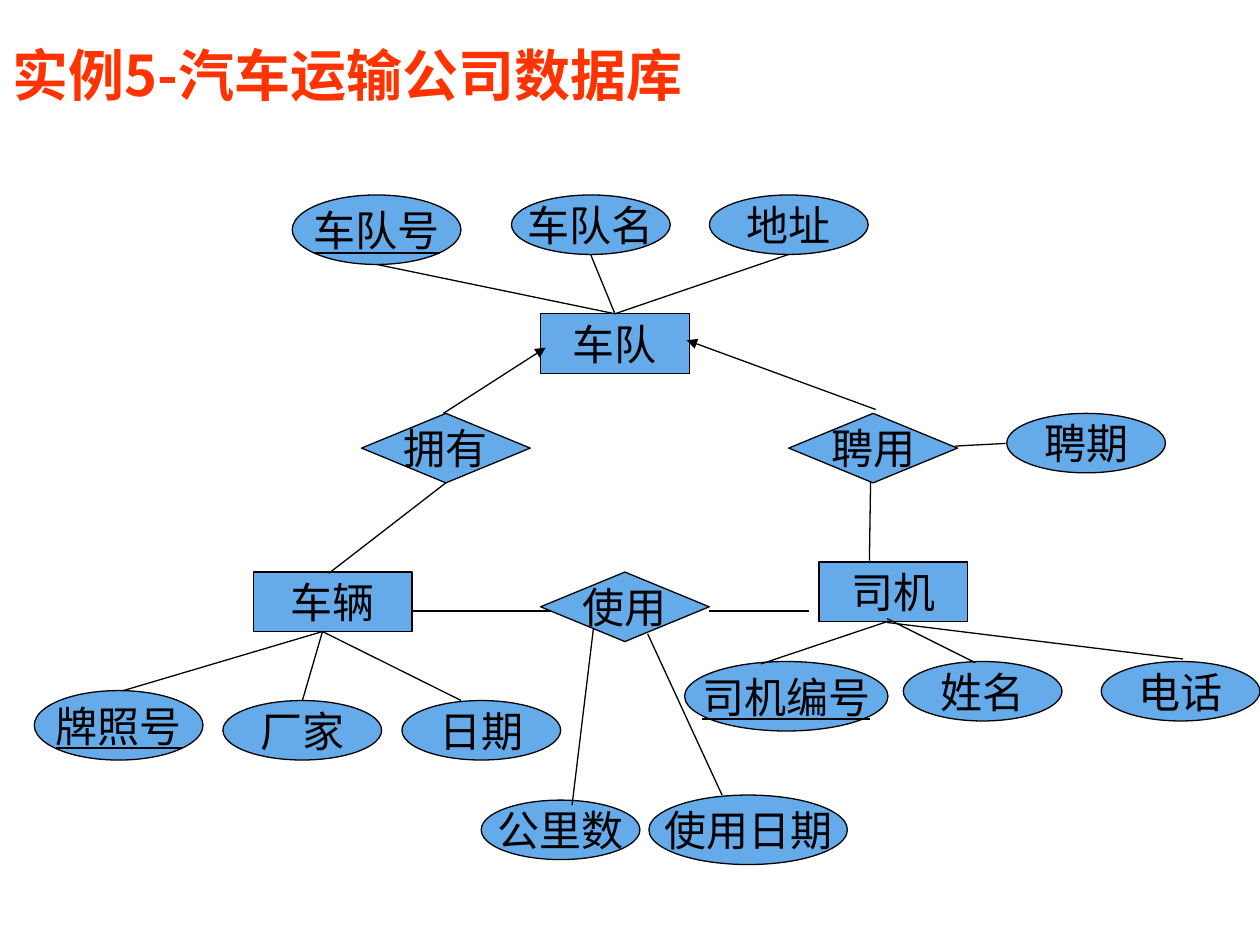
from dataclasses import dataclass

from lxml.etree import SubElement
from pptx import Presentation
from pptx.dml.color import RGBColor
from pptx.enum.shapes import MSO_CONNECTOR, MSO_SHAPE
from pptx.enum.text import MSO_ANCHOR, MSO_AUTO_SIZE, PP_ALIGN
from pptx.oxml.ns import qn
from pptx.util import Pt


@dataclass(frozen=True)
class Theme:
    title_color: RGBColor = RGBColor(0xFF, 0x33, 0x00)
    fill: RGBColor = RGBColor(0x65, 0xAA, 0xE9)
    ink: RGBColor = RGBColor(0, 0, 0)
    title_font: str = "Noto Sans CJK SC"
    label_font: str = "Times New Roman"
    title_size: float = 32
    label_size: float = 24
    line_width: float = 0.75


NORMAL = (90.7, 34)
NARROW = (85, 34)
LARGE = (96.4, 39.7)
TOP, BOTTOM = 0, 2

ENTITIES = {
    "车队": (308.9, 179.3, *NARROW),
    "车辆": (144.7, 326.9, *NORMAL),
    "司机": (468, 321.1, *NARROW),
}
RELATIONSHIPS = {
    "使用": (308.9, 326.9, *LARGE),
    "拥有": (206.6, 236.2, *LARGE),
    "聘用": (450.7, 236.2, *LARGE),
}
ATTRIBUTES = {
    "车队名": (292.3, 111.4, *NORMAL),
    "地址": (405.4, 111.4, *NORMAL),
    "厂家": (127.4, 400.3, *NORMAL),
    "日期": (229.7, 400.3, *NORMAL),
    "公里数": (275, 457.2, *NORMAL),
    "使用日期": (370.8, 454.3, 113.4, 39.7),
    "姓名": (516.2, 378, *NORMAL),
    "电话": (629.3, 378, *NORMAL),
    "聘期": (575.3, 236.2, *NORMAL),
}
KEY_ATTRIBUTES = {
    "车队号": (167, 111.4, *LARGE),
    "牌照号": (19.6, 394.6, *LARGE),
    "司机编号": (391.2, 378, 116.2, 39.7),
}

FLEET_TOP = (351.4, 179.3)
FLEET_ATTRIBUTE_ENDS = [(215.2, 151.1), (337.5, 145.4), (450.7, 145.4)]
VEHICLE_BOTTOM = (184.3, 360.9)
VEHICLE_ATTRIBUTE_ENDS = [(70.6, 394.6), (172.8, 400.3), (263.5, 400.3)]
PLAIN_LINES = [
    ((235.4, 349.2), (314.6, 349.2)),  # 车辆 to 使用
    ((405.4, 349.2), (462.2, 349.2)),  # 使用 to 司机
    ((507.6, 355), (434.9, 379.4)),  # 司机 to its attributes
    ((506.9, 353.5), (557.3, 378.7)),
    ((506.9, 355.7), (676.1, 376.6)),
    ((339.1, 359.3), (326.9, 460.1)),  # 使用 to its attributes
    ((370.1, 362.2), (412.6, 454.3)),
    ((497.5, 275), (496.8, 320.4)),  # 聘用 to 司机
    ((545.8, 254.9), (574.6, 253.4)),  # 聘用 to 聘期
]
ARROWS = [
    ((253.4, 236.2), (311.8, 198.7)),  # 拥有 to 车队
    ((500.4, 234), (392.4, 194.4)),  # 聘用 to 车队
]


class DiagramBuilder:
    def __init__(self, slide, theme):
        self.slide = slide
        self.theme = theme

    def format_font(self, paragraph, name, size, color, bold=False, underline=False):
        font = paragraph.font
        font.name, font.size = name, Pt(size)
        font.bold, font.underline = bold, underline
        font.color.rgb = color
        SubElement(font._element, qn("a:ea"), typeface=self.theme.title_font)

    def title(self, text, left, top, width, height):
        shape = self.slide.shapes.title
        shape.left, shape.top = Pt(left), Pt(top)
        shape.width, shape.height = Pt(width), Pt(height)
        frame = shape.text_frame
        frame.text = text
        frame.auto_size = MSO_AUTO_SIZE.NONE
        frame.vertical_anchor = MSO_ANCHOR.MIDDLE
        paragraph = frame.paragraphs[0]
        paragraph.alignment = PP_ALIGN.LEFT
        theme = self.theme
        self.format_font(paragraph, theme.title_font, theme.title_size,
                         theme.title_color, bold=True)

    def node(self, kind, text, box, underline=False):
        theme = self.theme
        shape = self.slide.shapes.add_shape(kind, *map(Pt, box))
        shape.shadow.inherit = False
        shape.fill.solid()
        shape.fill.fore_color.rgb = theme.fill
        shape.line.color.rgb = theme.ink
        shape.line.width = Pt(theme.line_width)
        frame = shape.text_frame
        frame.text = text
        frame.word_wrap = False
        frame.vertical_anchor = MSO_ANCHOR.MIDDLE
        paragraph = frame.paragraphs[0]
        paragraph.alignment = PP_ALIGN.CENTER
        self.format_font(paragraph, theme.label_font, theme.label_size,
                         theme.ink, underline=underline)
        return shape

    def nodes(self, kind, boxes, underline=False):
        return {text: self.node(kind, text, box, underline)
                for text, box in boxes.items()}

    def line(self, start, end, arrow=False):
        connector = self.slide.shapes.add_connector(
            MSO_CONNECTOR.STRAIGHT, *map(Pt, (*start, *end)))
        connector.line.color.rgb = self.theme.ink
        connector.line.width = Pt(self.theme.line_width)
        SubElement(connector._element.spPr, qn("a:effectLst"))
        if arrow:
            SubElement(connector.line._get_or_add_ln(), qn("a:tailEnd"), type="triangle")
        return connector


def main():
    presentation = Presentation()
    presentation.slide_width, presentation.slide_height = Pt(720), Pt(540)
    slide = presentation.slides.add_slide(presentation.slide_layouts[5])
    diagram = DiagramBuilder(slide, Theme())

    diagram.title("实例5-汽车运输公司数据库", 0, 20.2, 581.8, 44.6)
    entities = diagram.nodes(MSO_SHAPE.RECTANGLE, ENTITIES)
    relationships = diagram.nodes(MSO_SHAPE.FLOWCHART_DECISION, RELATIONSHIPS)
    diagram.nodes(MSO_SHAPE.OVAL, ATTRIBUTES)
    diagram.nodes(MSO_SHAPE.OVAL, KEY_ATTRIBUTES, underline=True)

    for end in FLEET_ATTRIBUTE_ENDS:
        diagram.line(FLEET_TOP, end).begin_connect(entities["车队"], TOP)
    for end in VEHICLE_ATTRIBUTE_ENDS:
        diagram.line(VEHICLE_BOTTOM, end)
    owns_vehicle = diagram.line((254.8, 275.9), (187.9, 327.6))
    owns_vehicle.begin_connect(relationships["拥有"], BOTTOM)
    for start, end in PLAIN_LINES:
        diagram.line(start, end)
    for start, end in ARROWS:
        diagram.line(start, end, arrow=True)

    presentation.save("out.pptx")


if __name__ == "__main__":
    main()
